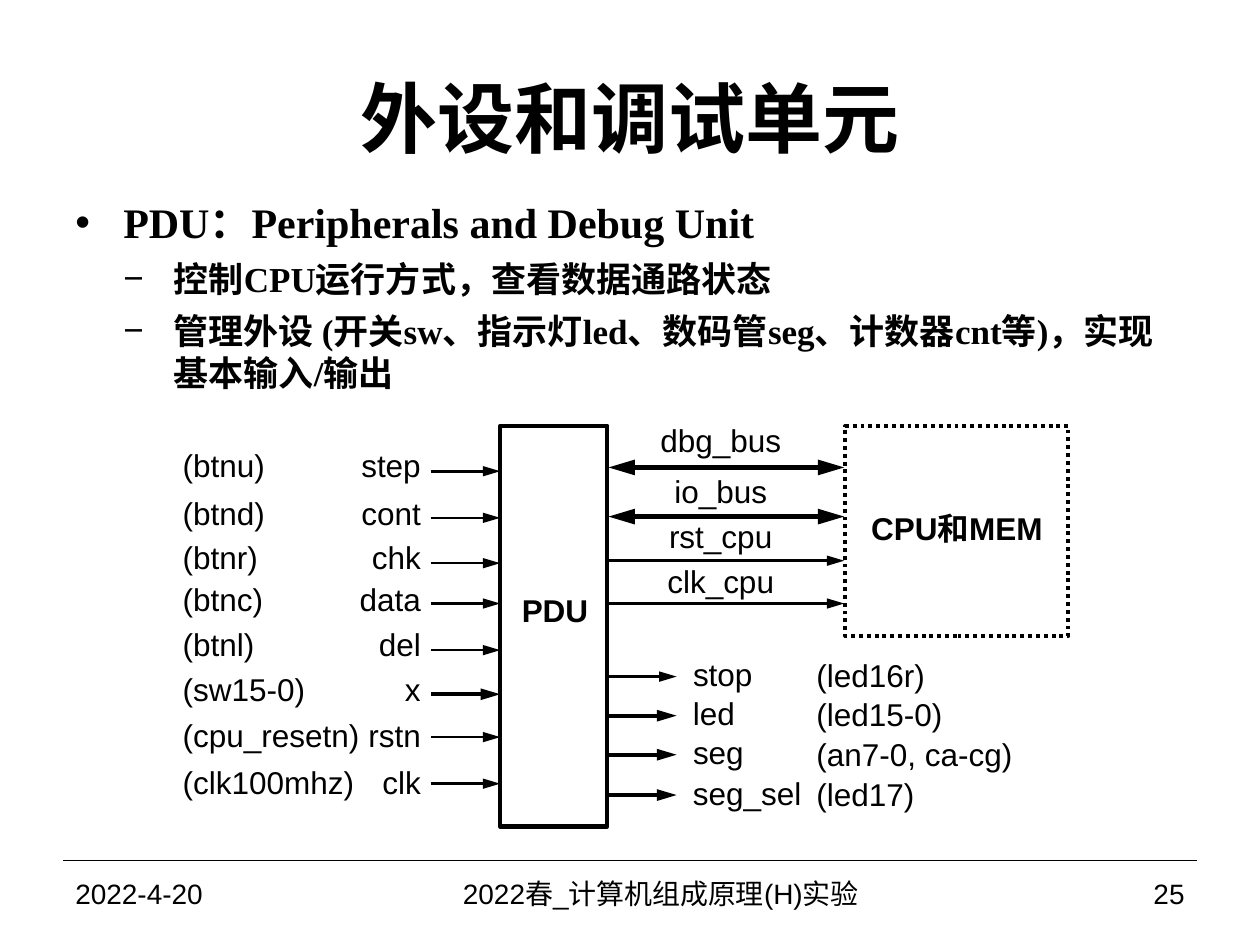
from dataclasses import dataclass

from lxml.etree import SubElement
from pptx import Presentation
from pptx.dml.color import RGBColor
from pptx.enum.dml import MSO_LINE
from pptx.enum.shapes import MSO_CONNECTOR, MSO_SHAPE
from pptx.enum.text import MSO_ANCHOR as Anchor, MSO_AUTO_SIZE as Fit, PP_ALIGN as Align
from pptx.oxml.ns import qn
from pptx.util import Inches, Pt

WIDTH, HEIGHT = Inches(10), Inches(7.5)
COL, ROW = WIDTH / 100, HEIGHT / 75


@dataclass(frozen=True)
class Theme:
    ink: RGBColor = RGBColor(0, 0, 0)
    sans: str = "Arial"
    serif: str = "Times New Roman"
    title: int = 44
    point: int = 24
    subpoint: int = 20
    label: int = 18
    footer: int = 16
    hairline: float = 0.75
    thin: float = 1.5
    medium: float = 2.25
    outline: float = 2.5
    bus: float = 3


@dataclass(frozen=True)
class Box:
    x: float
    y: float
    w: float
    h: float

    def inner(self, x, y, w, h):
        return Box(self.x + x, self.y + y, w, h)

    def emu(self):
        return [round(v) for v in (self.x * COL, self.y * ROW, self.w * COL, self.h * ROW)]


T = Theme()
LABEL_H = 3


def write(p, text, size=T.label, font=T.sans, bold=False, align=Align.LEFT):
    p.alignment = align
    r = p.add_run()
    r.text = text
    r.font.size, r.font.name, r.font.bold = Pt(size), font, bold
    r.font.color.rgb = T.ink


def set_frame(tf, wrap=True, inset=None, anchor=Anchor.MIDDLE):
    tf.auto_size, tf.word_wrap, tf.vertical_anchor = Fit.NONE, wrap, anchor
    if inset is not None:
        tf.margin_left = tf.margin_right = tf.margin_top = tf.margin_bottom = inset


def add_text(s, box, text, wrap=True, inset=None, **style):
    tf = s.shapes.add_textbox(*box.emu()).text_frame
    set_frame(tf, wrap, inset)
    write(tf.paragraphs[0], text, **style)


def add_label(s, box, x, y, w, text, align=Align.LEFT):
    add_text(s, box.inner(x, y - LABEL_H / 2, w, LABEL_H), text,
             wrap=False, inset=0, align=align)


def add_line(s, box, x1, x2, y, width, ends=()):
    left, top, length, _ = box.inner(x1, y, x2 - x1, 0).emu()
    ln = s.shapes.add_connector(MSO_CONNECTOR.STRAIGHT, left, top, left + length, top)
    ln.line.width = Pt(width)
    ln.line.color.rgb = T.ink
    for end in ends:
        SubElement(ln._element.spPr.find(qn("a:ln")), qn(f"a:{end}"),
                   type="triangle", w="med", len="lg")
    SubElement(ln._element.spPr, qn("a:effectLst"))


def add_block(s, box, width, dash=None):
    sp = s.shapes.add_shape(MSO_SHAPE.RECTANGLE, *box.emu())
    sp.shadow.inherit = False
    sp.fill.background()
    sp.line.color.rgb = T.ink
    sp.line.width = Pt(width)
    if dash:
        sp.line.dash_style = dash
    return sp


def add_title(s, box, text):
    sp = s.shapes.title
    sp.left, sp.top, sp.width, sp.height = box.emu()
    set_frame(sp.text_frame)
    write(sp.text_frame.paragraphs[0], text, size=T.title, bold=True, align=Align.CENTER)


def add_points(s, box, points):
    tf = s.shapes.add_textbox(*box.emu()).text_frame
    set_frame(tf, anchor=Anchor.TOP)
    formats = [("•", 0.38, 0.38, T.point), ("−", 0.78, 0.4, T.subpoint)]
    for i, (level, text) in enumerate(points):
        p = tf.add_paragraph() if i else tf.paragraphs[0]
        mark, margin, hang, size = formats[level]
        p.level, p.space_before = level, Pt(6)
        write(p, text, size=size, font=T.serif, bold=True)
        pr = p._p.get_or_add_pPr()
        pr.set("marL", str(Inches(margin)))
        pr.set("indent", str(-Inches(hang)))
        SubElement(pr, qn("a:buFont"), typeface=T.sans)
        SubElement(pr, qn("a:buChar"), char=mark)


def add_pdu(s, box):
    add_block(s, box, T.outline)
    add_text(s, box.inner(0.7, 12.6, 7.3, 4), "PDU", wrap=False, bold=True, align=Align.CENTER)


def add_cpu(s, box):
    tf = add_block(s, box, T.medium, MSO_LINE.ROUND_DOT).text_frame
    set_frame(tf, wrap=False, inset=0)
    p = tf.paragraphs[0]
    p.line_spacing = Pt(18)
    write(p, "CPU和MEM", bold=True, align=Align.CENTER)


def add_inputs(s, box):
    rows = [
        ("(btnu)", 6.6, "step", 4.8, 3.1, 3.6, T.thin),
        ("(btnd)", 6.6, "cont", 4.8, 6.9, 7.3, T.thin),
        ("(btnr)", 6, "chk", 3.9, 10.4, 10.9, T.thin),
        ("(btnc)", 6.4, "data", 4.9, 13.7, 14.1, T.thin),
        ("(btnl)", 5.7, "del", 3.4, 17.3, 17.8, T.thin),
        ("(sw15-0)", 10.1, "x", 1.3, 20.9, 21.3, T.medium),
        ("(cpu_resetn)", 14.2, "rstn", 4.2, 24.5, 24.7, T.thin),
        ("(clk100mhz)", 13.8, "clk", 3.1, 28.3, 28.4, T.thin),
    ]
    for pin, pin_w, name, name_w, text_y, line_y, width in rows:
        add_label(s, box, 0, text_y, pin_w, pin)
        add_label(s, box, 18.9 - name_w, text_y, name_w, name, Align.RIGHT)
        add_line(s, box, box.w - 5.5, box.w, line_y, width, ["tailEnd"])


def add_buses(s, box):
    both = ["headEnd", "tailEnd"]
    rows = [
        ("dbg_bus", 9.7, 1.1, 3.3, T.bus, both),
        ("io_bus", 9.7, 5.2, 7.2, T.bus, both),
        ("rst_cpu", 8.3, 8.7, 10.7, T.thin, both[1:]),
        ("clk_cpu", 8.6, 12.3, 14.1, T.thin, both[1:]),
    ]
    for name, w, text_y, line_y, width, ends in rows:
        add_label(s, box, 8.9 - w / 2, text_y, w, name, Align.CENTER)
        add_line(s, box, 0, box.w, line_y, width, ends)


def add_outputs(s, box):
    rows = [
        ("stop", 4.8, "(led16r)", 8.7, 1.7, T.thin),
        ("led", 3.4, "(led15-0)", 10.1, 4.8, T.medium),
        ("seg", 4.1, "(an7-0, ca-cg)", 15.6, 7.9, T.medium),
        ("seg_sel", 8.7, "(led17)", 7.9, 11.1, T.medium),
    ]
    for name, name_w, pin, pin_w, y, width in rows:
        add_line(s, box, 0, 5.4, y, width, ["tailEnd"])
        add_label(s, box, 6.7, y - 0.2, name_w, name)
        add_label(s, box, 16.5, y - 0.1, pin_w, pin)


def add_diagram(s, box):
    add_pdu(s, box.inner(25.4, 0, 8.5, 31.8))
    add_cpu(s, box.inner(52.8, 0, 17.7, 16.7))
    add_inputs(s, box.inner(0.2, 0, 25.2, 31.8))
    add_buses(s, box.inner(34, 0, 18.7, 16.7))
    add_outputs(s, box.inner(34, 18.2, 32.2, 13))


def add_footer(s, box, date, course, number):
    add_line(s, box, 0, box.w, 0, T.hairline)
    cells = [(0, 23.3, date, Align.LEFT), (23.3, 48.3, course, Align.CENTER),
             (71.7, 18.3, number, Align.RIGHT)]
    for x, w, text, align in cells:
        add_text(s, box.inner(x, 0, w, box.h), text, size=T.footer, align=align)


def main():
    prs = Presentation()
    prs.slide_width, prs.slide_height = WIDTH, HEIGHT
    s = prs.slides.add_slide(prs.slide_layouts[5])
    add_title(s, Box(5, 3, 90, 12.5), "外设和调试单元")
    add_points(s, Box(5, 15.1, 89.1, 17.8), [
        (0, "PDU：Peripherals and Debug Unit"),
        (1, "控制CPU运行方式，查看数据通路状态"),
        (1, "管理外设 (开关sw、指示灯led、数码管seg、计数器cnt等)，实现基本输入/输出"),
    ])
    add_diagram(s, Box(14.3, 33.8, 70.5, 31.8))
    add_footer(s, Box(5, 68.3, 90, 5.2), "2022-4-20", "2022春_计算机组成原理(H)实验", "25")
    prs.save("out.pptx")


if __name__ == "__main__":
    main()
